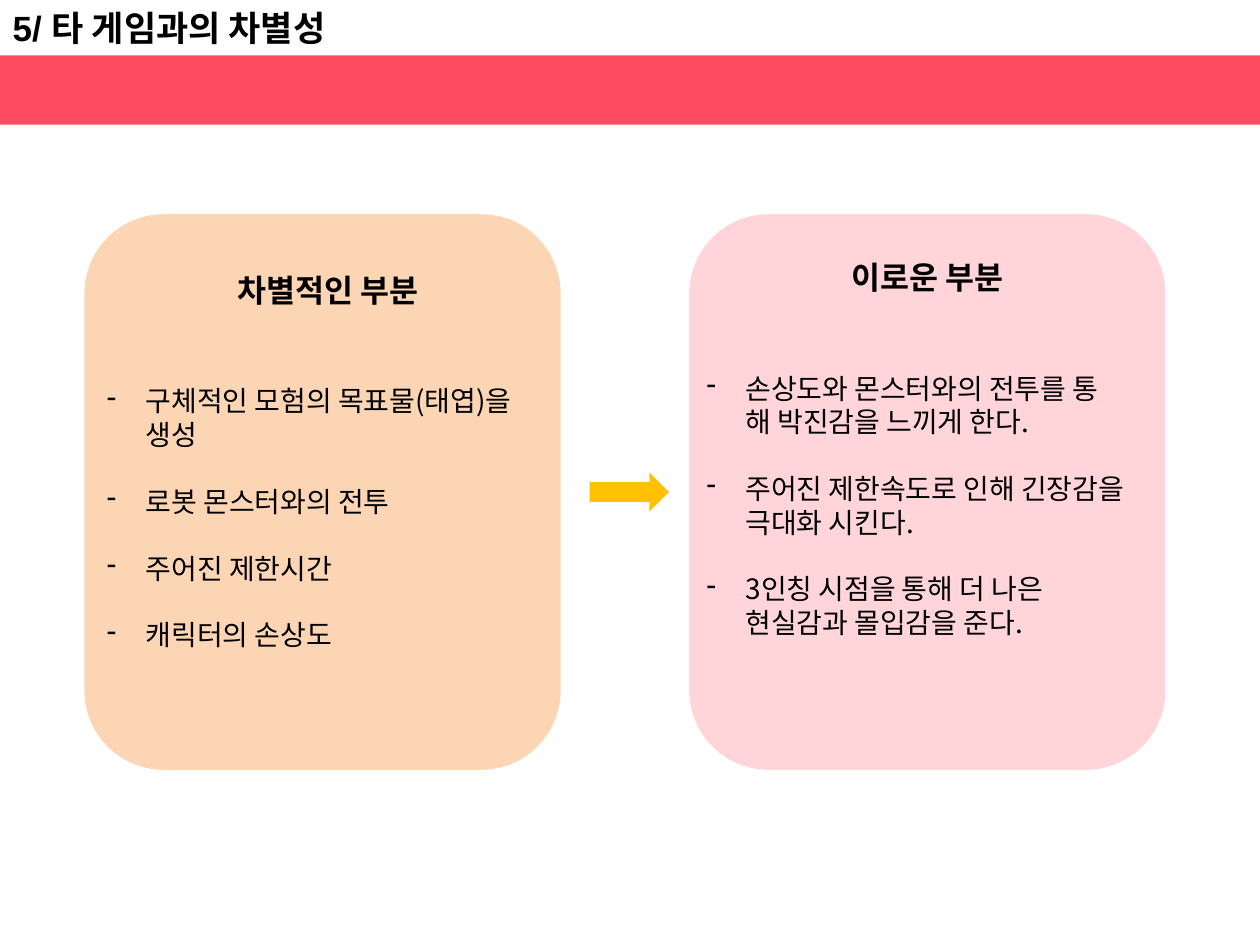
from copy import deepcopy
from dataclasses import dataclass

from lxml import etree
from pptx import Presentation
from pptx.dml.color import RGBColor
from pptx.enum.shapes import MSO_SHAPE
from pptx.enum.text import MSO_ANCHOR, MSO_AUTO_SIZE, PP_ALIGN
from pptx.oxml.ns import qn
from pptx.util import Inches, Pt

RECTANGLE = MSO_SHAPE.RECTANGLE
ROUNDED = MSO_SHAPE.ROUNDED_RECTANGLE
ARROW = MSO_SHAPE.RIGHT_ARROW
LEFT, CENTER = PP_ALIGN.LEFT, PP_ALIGN.CENTER
TOP = MSO_ANCHOR.TOP
FIXED = MSO_AUTO_SIZE.NONE
TITLE_ONLY = 5
WIDTH, HEIGHT = 10, 7.5
PANEL_TOP, PANEL_WIDTH, PANEL_HEIGHT = 1.7, 3.78, 4.41
TEXT_WIDTH = 3.7


@dataclass(frozen=True)
class Theme:
    ink: str = "000000"
    band: str = "FD4B62"
    arrow: str = "FFC000"
    peach: str = "FCD5B5"
    pink: str = "FFD5DA"
    latin: str = "Arial"
    korean: str = "Noto Sans CJK KR"
    title_size: int = 20
    heading_size: int = 18
    body_size: int = 16
    heading_gap: int = 43
    item_gap: int = 19


@dataclass(frozen=True)
class Area:
    left: float
    top: float
    width: float
    height: float

    def place(self, shape) -> None:
        shape.left, shape.top = Inches(self.left), Inches(self.top)
        shape.width, shape.height = Inches(self.width), Inches(self.height)


@dataclass(frozen=True)
class Panel:
    left: float
    color: str
    text_area: Area
    heading: str
    items: tuple[str, ...]


THEME = Theme()
PANELS = (
    Panel(0.67, THEME.peach, Area(0.75, 2.1, TEXT_WIDTH, 3.43), "차별적인 부분",
          ("구체적인 모험의 목표물(태엽)을 생성", "로봇 몬스터와의 전투",
           "주어진 제한시간", "캐릭터의 손상도")),
    Panel(5.47, THEME.pink, Area(5.51, 2, TEXT_WIDTH, 3.16), "이로운 부분",
          ("손상도와 몬스터와의 전투를 통\n해 박진감을 느끼게 한다.",
           "주어진 제한속도로 인해 긴장감을 극대화 시킨다.",
           "3인칭 시점을 통해 더 나은 현실감과 몰입감을 준다.")),
)


def add_filled(page, kind: MSO_SHAPE, area: Area, color: str) -> None:
    shape = page.shapes.add_shape(kind, 0, 0, 0, 0)
    area.place(shape)
    shape.shadow.inherit = False
    shape.fill.solid()
    shape.fill.fore_color.rgb = RGBColor.from_string(color)
    shape.line.fill.background()


def write(para, text: str, *, size: int, font: str = THEME.korean,
          bold: bool = False, align: PP_ALIGN = LEFT, after: int = 0) -> None:
    para.text = text
    para.alignment = align
    para.space_before, para.space_after = Pt(0), Pt(after)
    for span in para.runs:
        span.font.size = Pt(size)
        span.font.bold = bold
        span.font.name = font
        span.font.color.rgb = RGBColor.from_string(THEME.ink)
        east_asian = etree.SubElement(span.font._element, qn("a:ea"))
        east_asian.set("typeface", THEME.korean)
    for line_break in para._p.findall(qn("a:br")):
        line_break.insert(0, deepcopy(para.runs[0].font._element))


def add_dash(para) -> None:
    properties = para._p.get_or_add_pPr()
    indent = Inches(0.31)
    properties.set("marL", str(indent))
    properties.set("indent", str(-indent))
    etree.SubElement(properties, qn("a:buChar")).set("char", "-")


def add_panel(page, panel: Panel) -> None:
    add_filled(page, ROUNDED,
               Area(panel.left, PANEL_TOP, PANEL_WIDTH, PANEL_HEIGHT), panel.color)
    box = page.shapes.add_textbox(0, 0, 0, 0)
    panel.text_area.place(box)
    frame = box.text_frame
    frame.word_wrap = True
    write(frame.paragraphs[0], panel.heading, size=THEME.heading_size,
          bold=True, align=CENTER, after=THEME.heading_gap)
    for item in panel.items:
        para = frame.add_paragraph()
        write(para, item, size=THEME.body_size, after=THEME.item_gap)
        add_dash(para)


def add_title(page, text: str) -> None:
    title = page.shapes.title
    Area(0, 0, WIDTH / 3, 0.44).place(title)
    frame = title.text_frame
    frame.auto_size = FIXED
    frame.word_wrap = False
    frame.vertical_anchor = TOP
    write(frame.paragraphs[0], text, size=THEME.title_size,
          font=THEME.latin, bold=True)


def main() -> None:
    deck = Presentation()
    deck.slide_width, deck.slide_height = Inches(WIDTH), Inches(HEIGHT)
    page = deck.slides.add_slide(deck.slide_layouts[TITLE_ONLY])
    add_title(page, "5/ 타 게임과의 차별성")
    add_filled(page, RECTANGLE, Area(0, 0.44, WIDTH, 0.55), THEME.band)
    for panel in PANELS:
        add_panel(page, panel)
    arrow_height = 0.31
    arrow_top = PANEL_TOP + (PANEL_HEIGHT - arrow_height) / 2
    add_filled(page, ARROW, Area(4.68, arrow_top, 0.63, arrow_height), THEME.arrow)
    deck.save("out.pptx")


if __name__ == "__main__":
    main()
